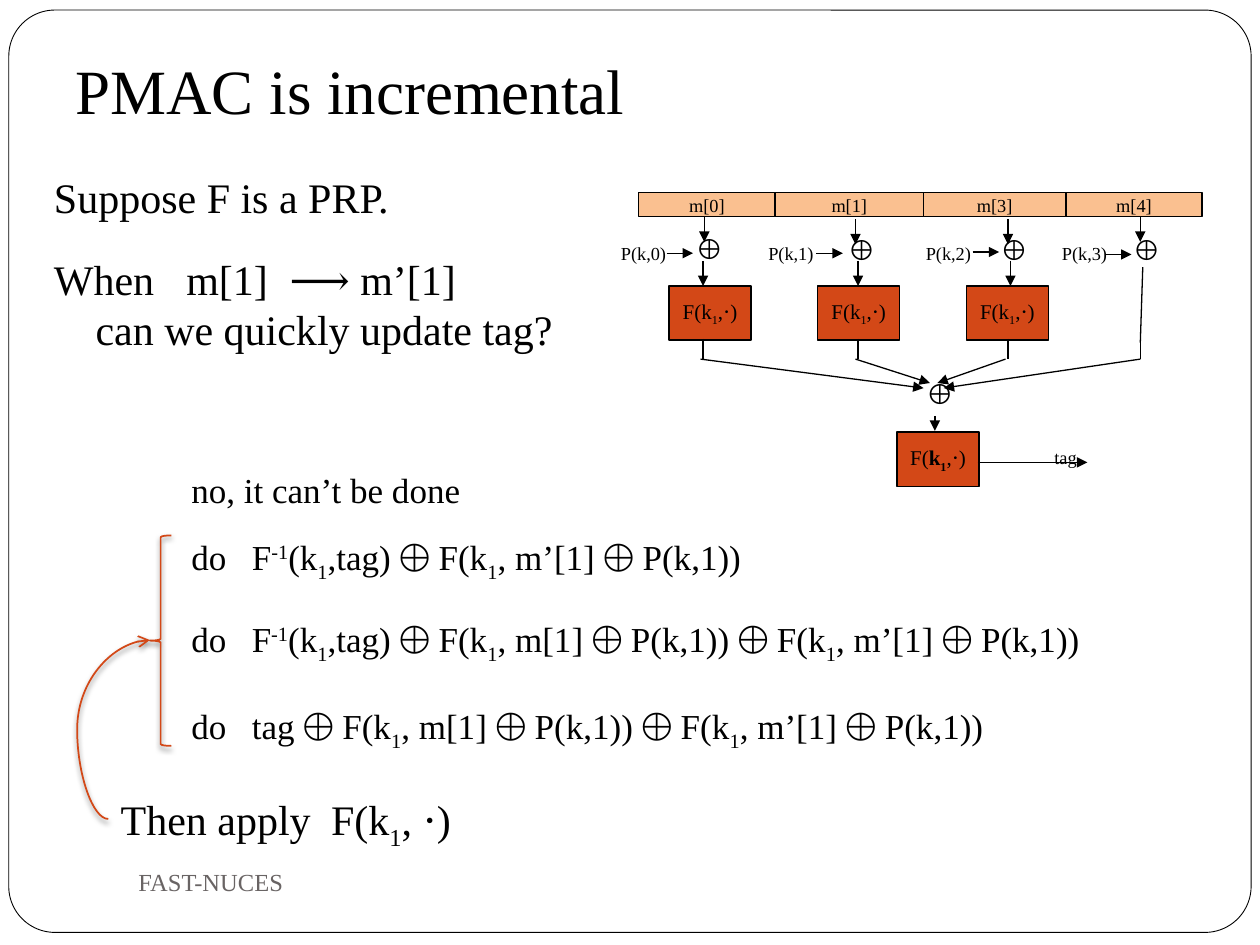
from lxml import etree
from pptx import Presentation
from pptx.dml.color import RGBColor
from pptx.enum.shapes import MSO_CONNECTOR as CONN, MSO_SHAPE as SHAPE
from pptx.enum.text import MSO_ANCHOR as ANCHOR, PP_ALIGN as ALIGN
from pptx.oxml import parse_xml
from pptx.oxml.ns import nsdecls, qn
from pptx.util import Inches, Pt

FONT = "Times New Roman"
COLORS = {"ink": "000000", "paper": "FFFFFF", "message": "FAC090",
          "cipher": "D34817", "footer": "696464"}

# Rich text: pieces split at "|"; leading * is bold, _ subscript, ^ superscript.
F_CALL = "F(k|_1|,⋅)"
F_CALL_BOLD = "F(|*k|*_1|,⋅)"
INVERSE = "do\tF|^-1|(k|_1|,tag) ⨁ F(k|_1|, "
OLD_BLOCK = "m[1] ⨁ P(k,1)) ⨁ F(k|_1|, "
NEW_BLOCK = "m’[1] ⨁ P(k,1))"

# text, left, top, width
OPTIONS = [
    ("no, it can’t be done", 1.42, 3.67, 2.35),
    (INVERSE + NEW_BLOCK, 1.42, 4.2, 4.72),
    (INVERSE + OLD_BLOCK + NEW_BLOCK, 1.42, 4.85, 7.44),
    ("do\ttag ⨁ F(k|_1|, " + OLD_BLOCK + NEW_BLOCK, 1.42, 5.54, 6.71),
]

# One dict per message block, left to right
COLUMNS = [
    dict(block="m[0]", width=1.08, drop=(5.59, 1.72), xor=(5.42, 1.79),
         mask="P(k,0)", mask_x=4.83, side=(5.29, 2.01)),
    dict(block="m[1]", width=1.18, drop=(6.79, 1.74), xor=(6.63, 1.8),
         mask="P(k,1)", mask_x=6, side=(6.48, 2.01)),
    dict(block="m[3]", width=1.13, drop=(8, 1.74), xor=(7.84, 1.8),
         mask="P(k,2)", mask_x=7.25, side=(7.72, 2)),
    dict(block="m[4]", width=1.08, drop=(9.05, 1.72), xor=(8.89, 1.8),
         mask="P(k,3)", mask_x=8.33, side=(8.77, 2.02)),
]
BLOCKS_LEFT, BLOCKS_TOP, BLOCK_H = 5.07, 1.53, 0.19
CIPHER_LEFT, CIPHER_STEP, CIPHER_TOP = 5.31, 1.18, 2.27
CIPHER_W, CIPHER_H = 0.65, 0.43
CIPHER_WIRES = [(5.58, 5.58), (6.81, 6.81), (8.02, 8)]  # x in, x out
MERGES = [((5.56, 2.85), (7.33, 3.08)), ((6.79, 2.85), (7.38, 3.04)),
          ((7.98, 2.85), (7.44, 3.04)), ((9.05, 2.85), (7.49, 3.08))]

prs = Presentation()
prs.slide_width, prs.slide_height = Inches(10), Inches(7.5)
s = prs.slides.add_slide(prs.slide_layouts[6])


def rgb(name):
    return RGBColor.from_string(COLORS[name])


def add_runs(p, markup, size, color="ink"):
    for piece in markup.split("|"):
        text = piece.lstrip("*_^")
        style = piece[:len(piece) - len(text)]
        r = p.add_run()
        r.text = text
        r.font.size, r.font.name = Pt(size), FONT
        r.font.color.rgb = rgb(color)
        if "*" in style:
            r.font.bold = True
        if "_" in style:
            r.font._element.set("baseline", "-25000")
        if "^" in style:
            r.font._element.set("baseline", "30000")


def set_tabs(p, *stops):
    tabs = etree.SubElement(p._p.get_or_add_pPr(), qn("a:tabLst"))
    for stop in stops:
        etree.SubElement(tabs, qn("a:tab"), pos=str(Inches(stop)), algn="l")


def text_box(markup, x, y, w, h, size, wrap=False, anchor=ANCHOR.TOP,
             color="ink", tabs=()):
    tf = s.shapes.add_textbox(Inches(x), Inches(y), Inches(w), Inches(h)).text_frame
    tf.word_wrap, tf.vertical_anchor = wrap, anchor
    p = tf.paragraphs[0]
    if tabs:
        set_tabs(p, *tabs)
    add_runs(p, markup, size, color)
    return tf


def shape(kind, x, y, w, h, fill=None, line="ink", weight=0.75):
    sp = s.shapes.add_shape(kind, Inches(x), Inches(y), Inches(w), Inches(h))
    sp.shadow.inherit = False
    if fill:
        sp.fill.solid()
        sp.fill.fore_color.rgb = rgb(fill)
    else:
        sp.fill.background()
    sp.line.color.rgb, sp.line.width = rgb(line), Pt(weight)
    return sp


def labelled_box(markup, x, y, w, h, fill, size):
    tf = shape(SHAPE.RECTANGLE, x, y, w, h, fill).text_frame
    tf.word_wrap, tf.vertical_anchor = False, ANCHOR.MIDDLE
    tf.paragraphs[0].alignment = ALIGN.CENTER
    add_runs(tf.paragraphs[0], markup, size)


def cipher(markup, x, y):
    labelled_box(markup, x, y, CIPHER_W, CIPHER_H, "cipher", 12)


def xor(x, y):
    text_box("⊕", x, y, 0.37, 0.37, 16)


def connect(start, end, head="triangle", color="ink", weight=0.75,
            kind=CONN.STRAIGHT):
    c = s.shapes.add_connector(kind, *map(Inches, start + end))
    c.line.color.rgb, c.line.width = rgb(color), Pt(weight)
    if head:
        etree.SubElement(c.line._get_or_add_ln(), qn("a:tailEnd"), type=head)
    etree.SubElement(c._element.spPr, qn("a:effectLst"))
    return c


def add_shadow(item):
    item._element.spPr.find(qn("a:effectLst")).append(parse_xml(
        f'<a:outerShdw {nsdecls("a")} blurRad="38100" dist="25400" dir="5400000" '
        'rotWithShape="0"><a:srgbClr val="000000"><a:alpha val="50000"/>'
        '</a:srgbClr></a:outerShdw>'))


# Frame, title and question
frame = shape(SHAPE.ROUNDED_RECTANGLE, 0.07, 0.08, 9.86, 7.32, "paper", weight=0.5)
frame.adjustments[0] = 0.05
title = text_box("PMAC is incremental", 0.5, 0.33, 9, 0.78, 36, True, ANCHOR.BOTTOM)
title.margin_bottom = Inches(0.1)

body = text_box("Suppose F is a PRP.", 0.33, 1.31, 4.58, 2.56, 24, True)
p = body.add_paragraph()
p.space_before = Pt(18.2)
set_tabs(p, 1.05, 1.87)
add_runs(p, "When\tm[1]\t⟶ m’[1]", 24)
p = body.add_paragraph()
p._p.get_or_add_pPr().set("marL", str(Inches(0.33)))
add_runs(p, "can we quickly update tag?", 24)

# PMAC diagram
left = BLOCKS_LEFT
for col in COLUMNS:
    labelled_box(col["block"], left, BLOCKS_TOP, col["width"], BLOCK_H, "message", 10.5)
    left += col["width"]
    x, y = col["drop"]
    connect((x, y), (x, y + 0.2))
    xor(*col["xor"])
    text_box(col["mask"], col["mask_x"], 1.87, 0.6, 0.28, 10.5)
    x, y = col["side"]
    connect((x, y), (x + 0.21, y))

for i, (x_in, x_out) in enumerate(CIPHER_WIRES):
    cipher(F_CALL, CIPHER_LEFT + i * CIPHER_STEP, CIPHER_TOP)
    connect((x_in, 2.07), (x_in, CIPHER_TOP))
    connect((x_out, 2.69), (x_out, 2.85), None)
connect((9.07, 2.12), (9.05, 2.72), None)
connect((9.05, 2.69), (9.05, 2.85), None)

for start, end in MERGES:
    connect(start, end)
xor(7.25, 2.94)
connect((7.42, 3.3), (7.42, 3.42))
cipher(F_CALL_BOLD, 7.12, 3.43)
connect((7.76, 3.67), (8.63, 3.67))
text_box("tag", 8.27, 3.49, 0.41, 0.28, 10.5)

# Answer options and the final step
for markup, x, y, w in OPTIONS:
    text_box(markup, x, y, w, 0.44, 20, tabs=(0.48,) if "\t" in markup else ())
text_box("Then apply\tF(k|_1|, ⋅)", 0.86, 6.25, 3.06, 0.5, 24, tabs=(1.67,))
add_shadow(shape(SHAPE.LEFT_BRACE, 1.19, 4.25, 0.17, 1.67, line="cipher", weight=1))
loop = connect((0.86, 6.5), (1.19, 5.08), "arrow", "cipher", 1, CONN.CURVE)
guides = loop._element.spPr.find(qn("a:prstGeom")).get_or_add_avLst()
etree.SubElement(guides, qn("a:gd"), name="adj1", fmla="val -75000")
add_shadow(loop)

text_box("FAST-NUCES", 1, 6.75, 4.33, 0.5, 14, True, ANCHOR.MIDDLE, "footer")

prs.save("out.pptx")
